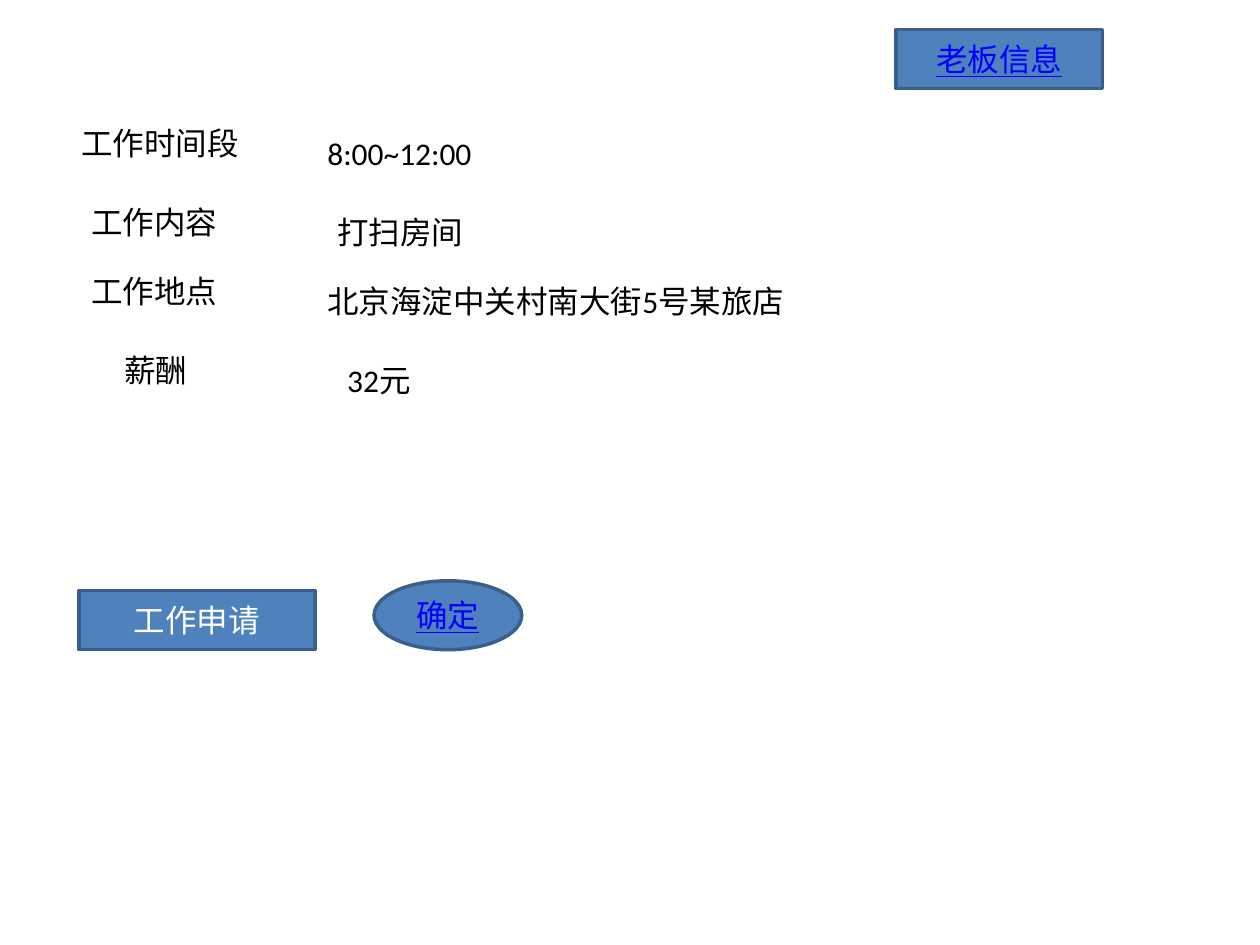
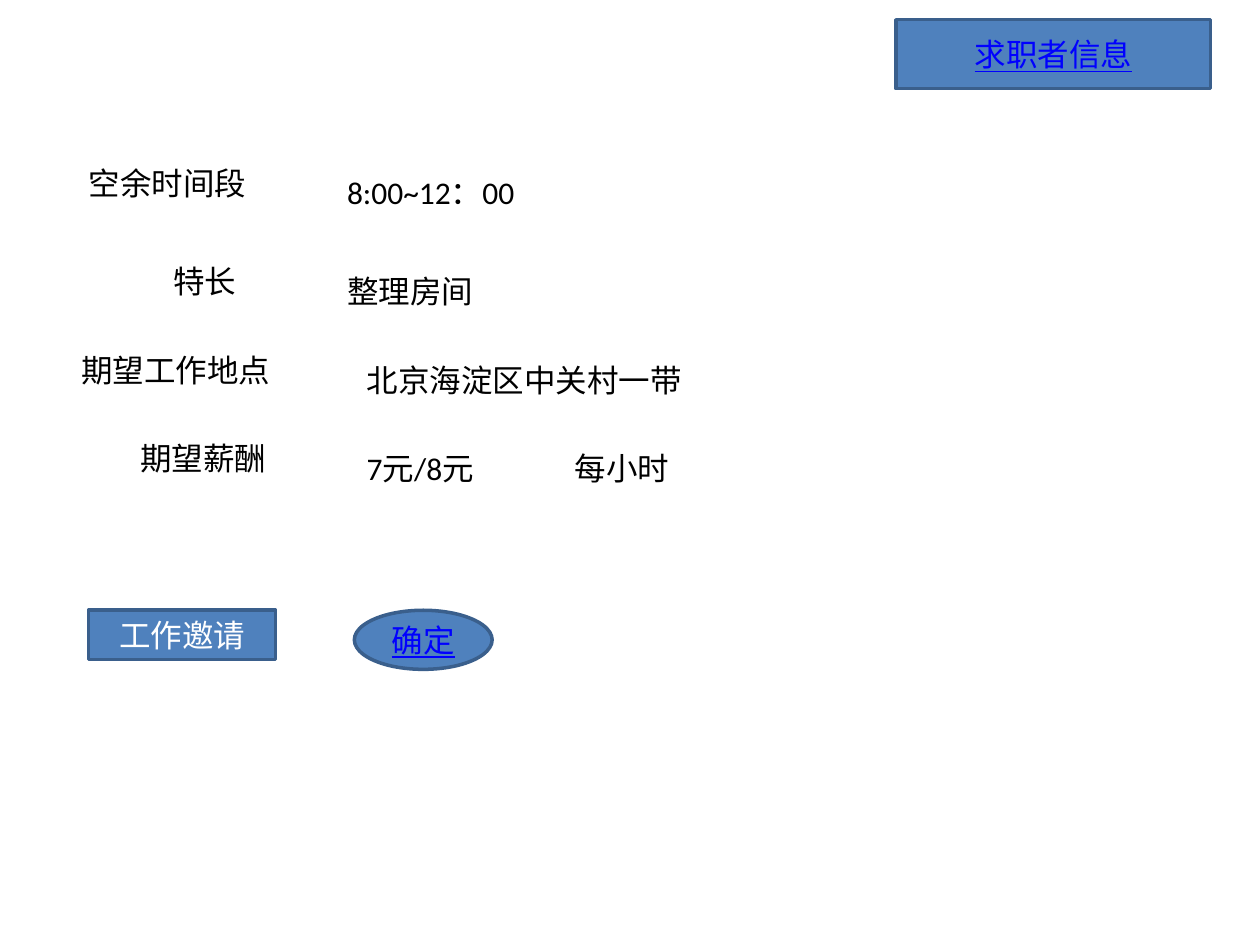
from lxml.etree import SubElement
from pptx import Presentation
from pptx.dml.color import RGBColor
from pptx.enum.shapes import MSO_SHAPE
from pptx.enum.text import MSO_ANCHOR, MSO_AUTO_SIZE, PP_ALIGN
from pptx.oxml.ns import qn
from pptx.util import Inches, Pt

WIDTH, HEIGHT = 10, 7.5
COLUMNS = 128
LABEL_HEIGHT = 0.4
INSET = 0.1
FONT, SIZE = "Calibri", 18
BLACK, WHITE, LINK = "000000", "FFFFFF", "0000FF"
BUTTON_FILL, BUTTON_LINE = "4F81BD", "3A5F8C"

JOB = {
    "header": ("老板信息", 91, 3, 21, 6),
    "labels": [
        ("工作时间段", 7, 12, 19, 0),
        ("工作内容", 8, 20, 17, 0),
        ("工作地点", 8, 27, 17, 0),
        ("薪酬", 7, 35, 16, 0.34),
    ],
    "values": [
        ("8:00~12:00", 32, 18),
        ("打扫房间", 33, 18),
        ("北京海淀中关村南大街5号某旅店", 32, 49),
        ("32元", 34, 35),
    ],
    "action": ("工作申请", 8, 60, 24, 6),
    "confirm": ("确定", 38, 59, 15, 7),
}
SEEKER = {
    "header": ("求职者信息", 91, 2, 32, 7),
    "labels": [
        ("空余时间段", 7, 16, 22, 0.06),
        ("特长", 7, 26, 23, 0.73),
        ("期望工作地点", 7, 35, 24, 0),
        ("期望薪酬", 13, 44, 24, 0),
    ],
    "values": [
        ("8:00~12：00", 34, 45),
        ("整理房间", 34, 36),
        ("北京海淀区中关村一带", 36, 47),
        ("7元/8元\t每小时", 36, 42),
    ],
    "action": ("工作邀请", 9, 62, 19, 5),
    "confirm": ("确定", 36, 62, 14, 6),
}


def color(value):
    """Turn a hex string into a colour."""
    return RGBColor.from_string(value)


def grid(cells):
    """Turn a number of square grid cells into a length."""
    return Inches(cells * WIDTH / COLUMNS)


def write(para, text, ink=BLACK, underline=False, align=PP_ALIGN.LEFT):
    """Write one formatted span into a paragraph."""
    para.alignment = align
    span = para.add_run()
    span.text = text
    span.font.name = FONT
    span.font.size = Pt(SIZE)
    span.font.color.rgb = color(ink)
    if underline:
        span.font.underline = True


def add_tab_stop(para, position):
    """Set a left tab stop, in inches from the text edge."""
    stops = SubElement(para._p.get_or_add_pPr(), qn("a:tabLst"))
    SubElement(stops, qn("a:tab"), pos=str(Inches(position)), algn="l")


def add_label(page, text, column, row, columns, indent=0):
    """Add a line of black text that starts at a grid cell."""
    box = page.shapes.add_textbox(
        grid(column), grid(row), grid(columns), Inches(LABEL_HEIGHT))
    frame = box.text_frame
    frame.word_wrap = True
    frame.auto_size = MSO_AUTO_SIZE.SHAPE_TO_FIT_TEXT
    frame.margin_left = Inches(INSET + indent)
    para = frame.paragraphs[0]
    write(para, text)
    if "\t" in text:
        add_tab_stop(para, 1.65)


def add_button(page, text, column, row, columns, rows,
               outline=MSO_SHAPE.RECTANGLE, ink=LINK):
    """Add a blue button; link-coloured text is underlined."""
    button = page.shapes.add_shape(
        outline, grid(column), grid(row), grid(columns), grid(rows))
    button.shadow.inherit = False
    button.fill.solid()
    button.fill.fore_color.rgb = color(BUTTON_FILL)
    button.line.color.rgb = color(BUTTON_LINE)
    button.line.width = Pt(2)
    frame = button.text_frame
    frame.word_wrap = True
    frame.vertical_anchor = MSO_ANCHOR.MIDDLE
    write(frame.paragraphs[0], text, ink=ink, underline=ink == LINK,
          align=PP_ALIGN.CENTER)


def add_form(deck, form):
    """Add a page with a header, labelled values and two buttons."""
    page = deck.slides.add_slide(deck.slide_layouts[6])
    add_button(page, *form["header"])
    for label in form["labels"]:
        add_label(page, *label)
    for label, (text, column, columns) in zip(form["labels"], form["values"]):
        add_label(page, text, column, label[2] + 1, columns)
    add_button(page, *form["action"], ink=WHITE)
    add_button(page, *form["confirm"], outline=MSO_SHAPE.OVAL)


def main():
    """Build and save the deck."""
    deck = Presentation()
    deck.slide_width, deck.slide_height = Inches(WIDTH), Inches(HEIGHT)
    for form in (JOB, SEEKER):
        add_form(deck, form)
    deck.save("out.pptx")


main()
